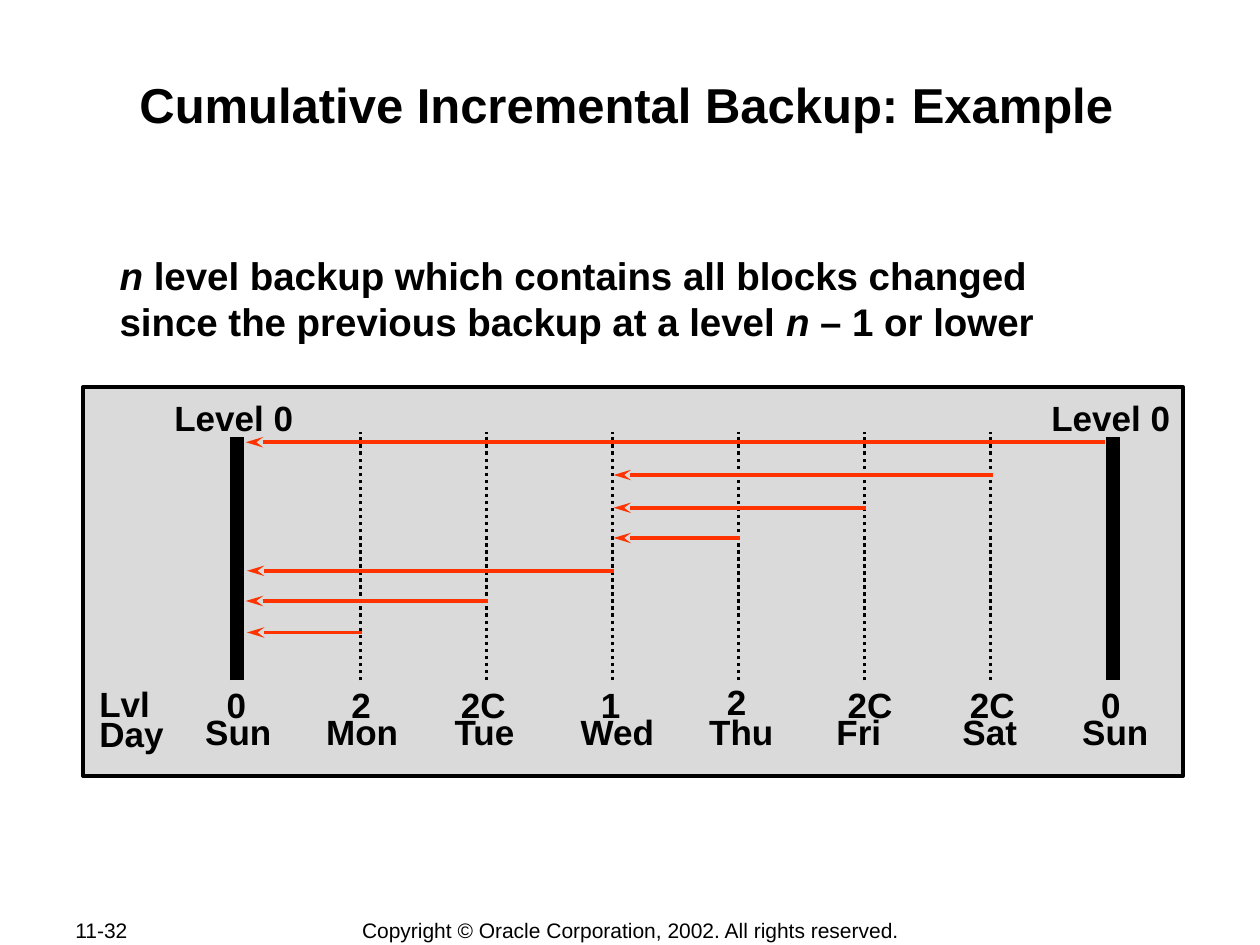
from dataclasses import dataclass

from lxml.etree import SubElement
from pptx import Presentation
from pptx.dml.color import RGBColor
from pptx.enum.dml import MSO_LINE
from pptx.enum.shapes import MSO_CONNECTOR, MSO_SHAPE
from pptx.enum.text import MSO_ANCHOR, PP_ALIGN
from pptx.oxml.ns import qn
from pptx.util import Inches, Pt


@dataclass(frozen=True)
class Theme:
    """Colours, font and type sizes of the slide."""
    ink: RGBColor = RGBColor(0x00, 0x00, 0x00)
    panel: RGBColor = RGBColor(0xDA, 0xDA, 0xDA)
    arrow: RGBColor = RGBColor(0xFF, 0x33, 0x00)
    font: str = "Arial"
    title: int = 28
    body: int = 22
    label: int = 20
    footer: int = 12
    thin: int = 2
    thick: int = 8


class SlideBuilder:
    """Draws themed elements on a grid of ten columns by seven and a half rows."""

    def __init__(self, presentation, theme):
        """Add a title-only slide and measure its grid."""
        self.theme = theme
        self.slide = presentation.slides.add_slide(presentation.slide_layouts[5])
        self.column = presentation.slide_width / 10
        self.row = presentation.slide_height / 7.5

    def place(self, left, top, width, height):
        """Turn columns and rows into slide lengths."""
        return (round(left * self.column), round(top * self.row),
                round(width * self.column), round(height * self.row))

    def style(self, paragraph, size, bold, align, spacing):
        """Format a whole paragraph."""
        paragraph.alignment = align
        paragraph.line_spacing = spacing
        font = paragraph.font
        font.name, font.size, font.bold = self.theme.font, Pt(size), bold
        font.color.rgb = self.theme.ink

    def frame(self, shape, horizontal, vertical, anchor):
        """Set the insets and anchor of a text frame."""
        frame = shape.text_frame
        frame.word_wrap = True
        frame.margin_left = frame.margin_right = Inches(horizontal)
        frame.margin_top = frame.margin_bottom = Inches(vertical)
        frame.vertical_anchor = anchor
        return frame

    def title(self, text, box):
        """Fill and move the title placeholder."""
        shape = self.slide.shapes.title
        shape.left, shape.top, shape.width, shape.height = self.place(*box)
        frame = self.frame(shape, 0.01, 0.01, MSO_ANCHOR.TOP)
        frame.text = text
        self.style(frame.paragraphs[0], self.theme.title, True, PP_ALIGN.CENTER, 1.0)

    def body(self, runs, box):
        """Add a statement made of (text, italic) runs."""
        shape = self.slide.shapes.add_textbox(*self.place(*box))
        paragraph = self.frame(shape, 0.01, 0.01, MSO_ANCHOR.TOP).paragraphs[0]
        for text, italic in runs:
            run = paragraph.add_run()
            run.text, run.font.italic = text, italic
        self.style(paragraph, self.theme.body, True, PP_ALIGN.LEFT, 1.0)

    def label(self, text, box, spacing=0.7, align=PP_ALIGN.LEFT):
        """Add a bold label, one paragraph to a line."""
        shape = self.slide.shapes.add_textbox(*self.place(*box))
        frame = self.frame(shape, 0.1, 0.05, MSO_ANCHOR.TOP)
        frame.text = text
        for paragraph in frame.paragraphs:
            self.style(paragraph, self.theme.label, True, align, spacing)

    def footer(self, text, box, align):
        """Add a footer text."""
        shape = self.slide.shapes.add_textbox(*self.place(*box))
        frame = self.frame(shape, 0.1, 0.05, MSO_ANCHOR.MIDDLE)
        frame.word_wrap = False
        frame.text = text
        self.style(frame.paragraphs[0], self.theme.footer, False, align, 1.0)

    def panel(self, box):
        """Add the framed background of the chart."""
        shape = self.slide.shapes.add_shape(MSO_SHAPE.RECTANGLE, *self.place(*box))
        shape.shadow.inherit = False
        shape.fill.solid()
        shape.fill.fore_color.rgb = self.theme.panel
        shape.line.color.rgb = self.theme.ink
        shape.line.width = Pt(self.theme.thin)

    def line(self, start, end, color, width, dash=None):
        """Add a straight line between two grid points."""
        connector = self.slide.shapes.add_connector(
            MSO_CONNECTOR.STRAIGHT, *self.place(*start, *end))
        connector.line.color.rgb = color
        connector.line.width = Pt(width)
        if dash:
            connector.line.dash_style = dash
        SubElement(connector.element.spPr, qn("a:effectLst"))
        return connector

    def upright(self, position, top, width, dash=None):
        """Add a vertical day line that rises from the base of the chart."""
        self.line((position, 5.4), (position, top), self.theme.ink, width, dash)

    def arrow(self, tip, tail, level):
        """Add a horizontal arrow that points back to an earlier day."""
        connector = self.line((tip, level), (tail, level), self.theme.arrow, self.theme.thin)
        outline = connector.element.spPr.find(qn("a:ln"))
        SubElement(outline, qn("a:headEnd"), type="stealth", w="med", len="lg")


DAYS = [
    ("Sun", 1.53, 0.82), ("Mon", 2.49, 0.86), ("Tue", 3.51, 0.71), ("Wed", 4.51, 0.86),
    ("Thu", 5.53, 0.72), ("Fri", 6.54, 0.72), ("Sat", 7.54, 0.72), ("Sun", 8.49, 0.88),
]
LEVELS = [
    ("0", 1.7, 5.52), ("2", 2.69, 5.52), ("2C", 3.56, 5.52), ("1", 4.67, 5.52),
    ("2", 5.67, 5.5), ("2C", 6.63, 5.52), ("2C", 7.6, 5.52), ("0", 8.64, 5.52),
]
ARROWS = [
    (1.96, 2.87, 5.02), (1.95, 3.87, 4.77), (1.96, 4.87, 4.53), (4.87, 5.87, 4.27),
    (4.87, 6.87, 4.03), (4.87, 7.88, 3.77), (1.95, 8.77, 3.51),
]
STATEMENT = [
    ("n", True),
    (" level backup which contains all blocks changed since the previous backup at a level ", False),
    ("n", True),
    (" – 1 or lower", False),
]


def main():
    """Build and save the slide."""
    presentation = Presentation()
    presentation.slide_width, presentation.slide_height = Inches(10), Inches(7.5)
    theme = Theme()
    builder = SlideBuilder(presentation, theme)

    builder.footer("11-32", (0.5, 7.28, 1.06, 0.2), PP_ALIGN.LEFT)
    builder.footer("Copyright © Oracle Corporation, 2002. All rights reserved.",
                   (2.76, 7.28, 4.49, 0.21), PP_ALIGN.CENTER)
    builder.title("Cumulative Incremental Backup: Example", (0.97, 0.58, 8, 0.96))
    builder.body(STATEMENT, (0.94, 1.99, 8.06, 0.76))
    builder.panel((0.66, 3.07, 8.73, 3.09))

    builder.label("Lvl\nDay", (0.69, 5.46, 0.73, 0.57))
    for day, left, width in DAYS:
        builder.label(day, (left, 5.68, width, 0.33))
    for position in (1.88, 8.83):
        builder.upright(position, 3.47, theme.thick)
    for day in range(1, 7):
        builder.upright(1.86 + day, 3.43, theme.thin, MSO_LINE.ROUND_DOT)
    for left in (0.93, 7.89):
        builder.label("Level 0", (left, 3.16, 1.85, 0.37), 0.8, PP_ALIGN.CENTER)
    for level, left, top in LEVELS:
        builder.label(level, (left, top, 0.41 if len(level) == 1 else 0.57, 0.27), 0.5)
    for tip, tail, height in ARROWS:
        builder.arrow(tip, tail, height)

    presentation.save("out.pptx")


if __name__ == "__main__":
    main()
